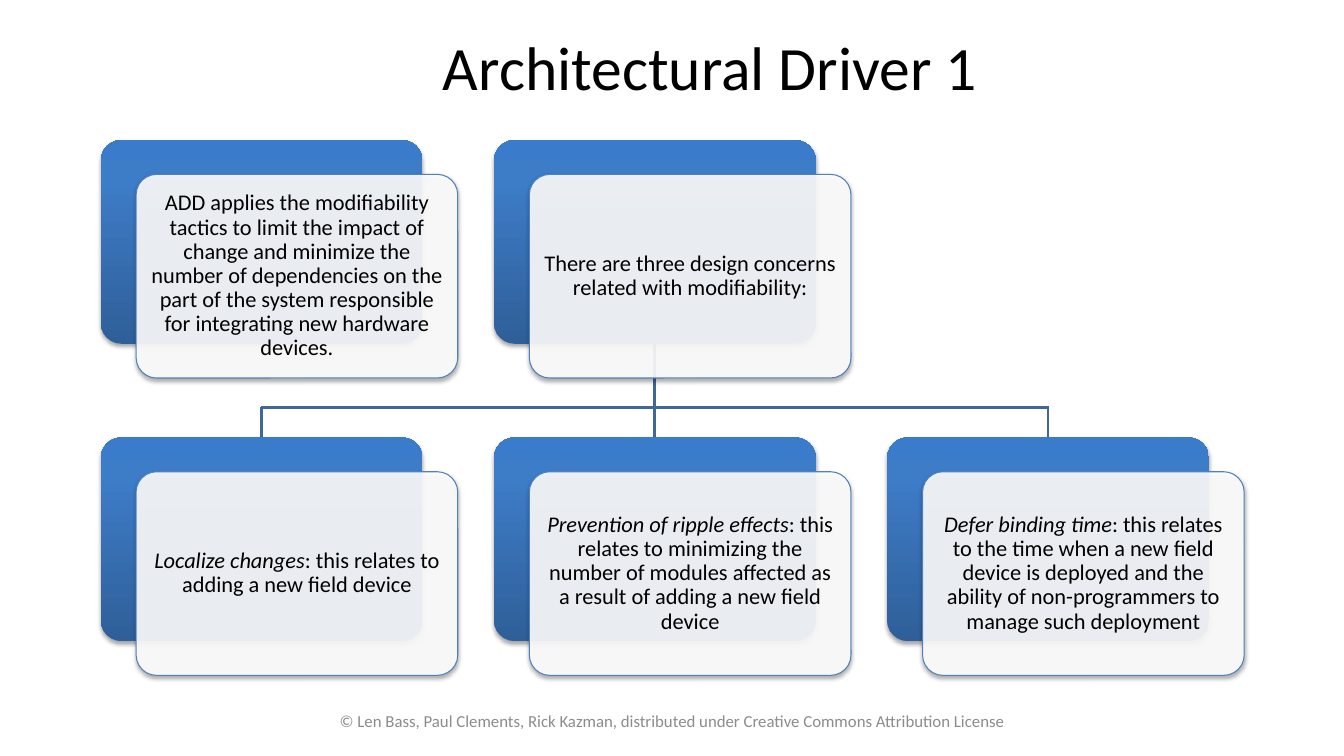
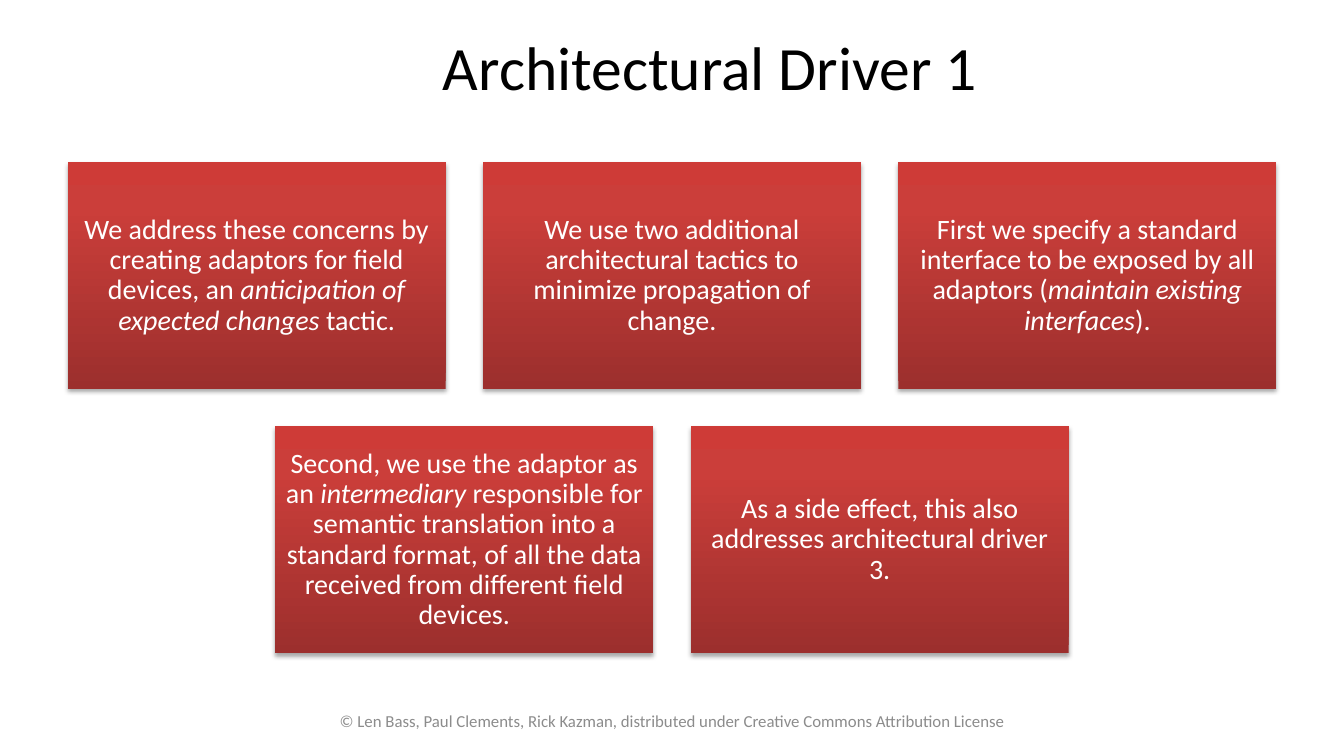
from copy import deepcopy

from lxml import etree
from pptx import Presentation
from pptx.dml.color import RGBColor
from pptx.enum.shapes import MSO_CONNECTOR, MSO_SHAPE
from pptx.enum.text import MSO_ANCHOR, PP_ALIGN
from pptx.oxml.ns import qn
from pptx.util import Inches, Pt

# Shared look
FONT = "Calibri"
BLACK = RGBColor(0x00, 0x00, 0x00)
WHITE = RGBColor(0xFF, 0xFF, 0xFF)
GREY = RGBColor(0x8C, 0x8C, 0x8C)
LINE_BLUE = RGBColor(0x3F, 0x67, 0x97)
EDGE_BLUE = RGBColor(0x4F, 0x81, 0xBD)
BLUES = [RGBColor(0x2F, 0x5F, 0x99), RGBColor(0x3D, 0x7C, 0xC7), RGBColor(0x3A, 0x7C, 0xCB)]
REDS = [RGBColor(0x9C, 0x2F, 0x2D), RGBColor(0xCB, 0x3E, 0x3A), RGBColor(0xCE, 0x3B, 0x37)]
STOPS = [0, 0.8, 1]
SLIDE_WIDTH = 13.33
TITLE = "Architectural Driver 1"
FOOTER = ("© Len Bass, Paul Clements, Rick Kazman, distributed under "
          "Creative Commons Attribution License")


def write(shape, spans, size, color, spacing=1.0, inset=None):
    """Write (text, italic) spans as one centred paragraph."""
    frame = shape.text_frame
    frame.word_wrap = True
    frame.vertical_anchor = MSO_ANCHOR.MIDDLE
    if inset is not None:
        frame.margin_left = frame.margin_right = Inches(inset)
        frame.margin_top = frame.margin_bottom = Inches(inset)
    para = frame.paragraphs[0]
    para.alignment = PP_ALIGN.CENTER
    para.line_spacing = spacing
    for text, italic in spans:
        span = para.add_run()
        span.text = text
        span.font.name = FONT
        span.font.size = Pt(size)
        span.font.italic = italic
        span.font.color.rgb = color


def add_panel(page, kind, left, top, width, height, gradient=None):
    """Add a shadowed panel: a vertical gradient, or see-through white with an edge."""
    panel = page.shapes.add_shape(kind, Inches(left), Inches(top), Inches(width), Inches(height))
    if kind == MSO_SHAPE.ROUNDED_RECTANGLE:
        panel.adjustments[0] = 0.1
    properties = panel.element.spPr
    if gradient:
        panel.line.fill.background()
        panel.fill.gradient()
        panel.fill.gradient_angle = 90
        stop_list = properties.find(".//" + qn("a:gsLst"))
        stop_list.insert(1, deepcopy(stop_list[0]))
        for stop, position, color in zip(panel.fill.gradient_stops, STOPS, gradient):
            stop.position = position
            stop.color.rgb = color
    else:
        panel.fill.solid()
        panel.fill.fore_color.rgb = WHITE
        white = properties.find(qn("a:solidFill")).find(qn("a:srgbClr"))
        etree.SubElement(white, qn("a:alpha"), val="90000")
        panel.line.color.rgb = EDGE_BLUE
        panel.line.width = Pt(0.75)
    panel.shadow.inherit = False
    shadow = etree.SubElement(properties.find(qn("a:effectLst")), qn("a:outerShdw"),
                              blurRad="40000", dist="23000", dir="5400000", rotWithShape="0")
    shade = etree.SubElement(shadow, qn("a:srgbClr"), val="000000")
    etree.SubElement(shade, qn("a:alpha"), val="35000")
    return panel


deck = Presentation()
deck.slide_width = Inches(SLIDE_WIDTH)
deck.slide_height = Inches(7.5)

# Title and footer on both slides
pages = []
for _ in range(2):
    page = deck.slides.add_slide(deck.slide_layouts[5])
    title = page.shapes.title
    title.left, title.top = Inches(1.42), Inches(0.3)
    title.width, title.height = Inches(11.25), Inches(0.85)
    write(title, [(TITLE, False)], 44, BLACK, 0.8)
    footer = page.shapes.add_textbox(Inches(2.05), Inches(6.95), Inches(9.24), Inches(0.4))
    write(footer, [(FOOTER, False)], 12, GREY)
    pages.append(page)
tree_page, tactics_page = pages

# Slide 1: tree of design concerns
CARD_WIDTH, CARD_HEIGHT = 3.19, 2.02
COLUMNS = [1 + 3.9 * column for column in range(3)]
ROWS = [1.39, 4.34]
BUS_TOP = 4.04
cards = [
    (0, 0, [("ADD applies the modifiability tactics to limit the impact of change and minimize "
             "the number of dependencies on the part of the system responsible for integrating "
             "new hardware devices.", False)]),
    (0, 1, [("There are three design concerns related with modifiability:", False)]),
    (1, 0, [("Localize changes", True), (": this relates to adding a new field device", False)]),
    (1, 1, [("Prevention of ripple effects", True),
            (": this relates to minimizing the number of modules affected as a result of "
             "adding a new field device", False)]),
    (1, 2, [("Defer binding time", True),
            (": this relates to the time when a new field device is deployed and the ability "
             "of non-programmers to manage such deployment", False)]),
]

# Branch lines, behind the cards: three drops (the middle one is the trunk) and a bus
centers = [left + CARD_WIDTH / 2 for left in COLUMNS]
starts = [BUS_TOP, ROWS[0] + CARD_HEIGHT, BUS_TOP]
ends = [(x, start, x, ROWS[1]) for x, start in zip(centers, starts)]
ends.append((centers[0] - 0.01, BUS_TOP, centers[2] + 0.01, BUS_TOP))
branches = []
for points in ends:
    branch = tree_page.shapes.add_connector(MSO_CONNECTOR.STRAIGHT, *map(Inches, points))
    branch.line.color.rgb = LINE_BLUE
    branch.line.width = Pt(2)
    etree.SubElement(branch.element.spPr, qn("a:effectLst"))
    branches.append(branch)

# Cards: a blue back and a white front
for row, column, spans in cards:
    left, top = COLUMNS[column], ROWS[row]
    back = add_panel(tree_page, MSO_SHAPE.ROUNDED_RECTANGLE, left, top,
                     CARD_WIDTH, CARD_HEIGHT, BLUES)
    front = add_panel(tree_page, MSO_SHAPE.ROUNDED_RECTANGLE, left + 0.35, top + 0.34,
                      CARD_WIDTH, CARD_HEIGHT)
    write(front, spans, 16, BLACK, 0.9, 0.07)
    if row == 1:
        branches[column].end_connect(back, 0)
    elif column == 1:
        branches[column].begin_connect(back, 2)

# Slide 2: centred rows of tactics
BOX_WIDTH, BOX_HEIGHT, GAP = 3.75, 2.25, 0.37
tactic_rows = [
    [
        [("We address these concerns by creating adaptors for field devices, an ", False),
         ("anticipation of expected changes", True), (" tactic.", False)],
        [("We use two additional architectural tactics to minimize propagation of change.",
          False)],
        [("First we specify a standard interface to be exposed by all adaptors (", False),
         ("maintain existing interfaces", True), (").", False)],
    ],
    [
        [("Second, we use the adaptor as an ", False), ("intermediary", True),
         (" responsible for semantic translation into a standard format, of all the data "
          "received from different field devices.", False)],
        [("As a side effect, this also addresses architectural driver 3.", False)],
    ],
]
for row, tactics in enumerate(tactic_rows):
    row_width = len(tactics) * (BOX_WIDTH + GAP) - GAP
    for column, spans in enumerate(tactics):
        left = (SLIDE_WIDTH - row_width) / 2 + column * (BOX_WIDTH + GAP)
        top = 1.61 + row * (BOX_HEIGHT + GAP)
        box = add_panel(tactics_page, MSO_SHAPE.RECTANGLE, left, top, BOX_WIDTH, BOX_HEIGHT, REDS)
        write(box, spans, 20, WHITE, 0.9, 0.08)

deck.save("out.pptx")
